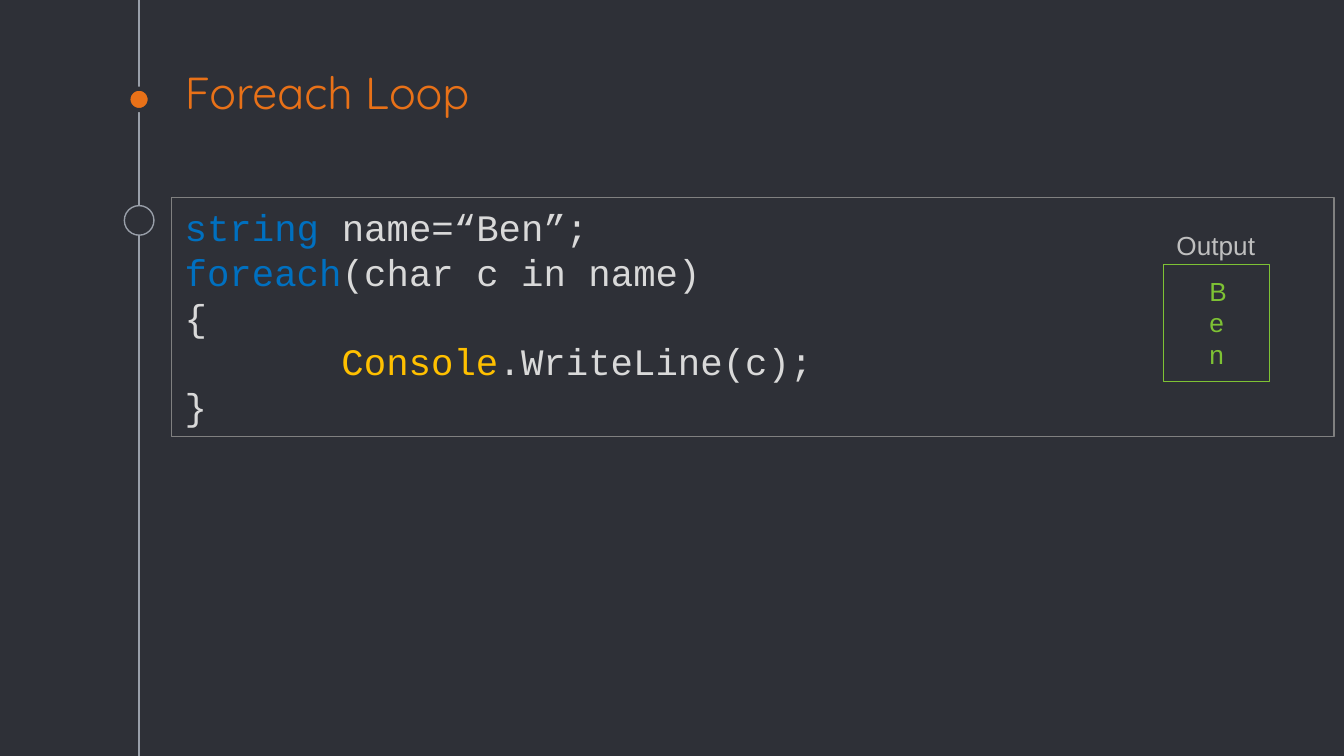
from dataclasses import dataclass

from lxml import etree
from pptx import Presentation
from pptx.dml.color import RGBColor
from pptx.enum.shapes import MSO_CONNECTOR, MSO_SHAPE
from pptx.enum.text import MSO_ANCHOR, MSO_AUTO_SIZE, PP_ALIGN
from pptx.oxml.ns import qn
from pptx.util import Inches, Pt

RECT, OVAL = MSO_SHAPE.RECTANGLE, MSO_SHAPE.OVAL
LINE = MSO_CONNECTOR.STRAIGHT
TOP, LOW = MSO_ANCHOR.TOP, MSO_ANCHOR.BOTTOM
FIXED = MSO_AUTO_SIZE.NONE
LEFT = PP_ALIGN.LEFT
WIDE, HIGH = Inches(10), Inches(5.625)
UNIT = WIDE / 100
RAIL = 10.35
EDGE, SPAN = 12.75, 86.5
SIDE, BREADTH = 86.55, 7.9
STOP = 10


@dataclass(frozen=True)
class Theme:
    back: str = "2E3037"
    rail: str = "999FA9"
    accent: str = "E87118"
    frame: str = "808080"
    key: str = "0070C0"
    plain: str = "D9D9D9"
    name: str = "FFC000"
    green: str = "7EC234"
    label: str = "BFBFBF"
    head: str = "Quicksand"
    code: str = "Courier New"
    body: str = "Arial"
    big: int = 24
    mid: int = 20
    small: int = 14
    thin: float = 0.75
    thick: float = 2.25


THEME = Theme()
CODE = [
    [("string ", THEME.key), ("name=“Ben”;", THEME.plain)],
    [("foreach", THEME.key), ("(char c in name)", THEME.plain)],
    [("{", THEME.plain)],
    [("\t ", THEME.plain), ("Console", THEME.name), (".WriteLine(c);", THEME.plain)],
    [("}", THEME.plain)],
]


def grid(*cells):
    return [round(cell * UNIT) for cell in cells]


def tint(hue):
    return RGBColor.from_string(hue)


def style(run, font, size, hue):
    run.font.name = font
    run.font.size = Pt(size)
    run.font.color.rgb = tint(hue)


def add_stop(para):
    stops = etree.SubElement(para._p.get_or_add_pPr(), qn("a:tabLst"))
    etree.SubElement(stops, qn("a:tab"), pos=str(grid(STOP)[0]), algn="l")


def write(frame, lines, font, size):
    frame.auto_size = FIXED
    frame.vertical_anchor = TOP
    for num, line in enumerate(lines):
        para = frame.add_paragraph() if num else frame.paragraphs[0]
        para.alignment = LEFT
        if line[0][0].startswith("\t"):
            add_stop(para)
        for text, hue in line:
            run = para.add_run()
            run.text = text
            style(run, font, size, hue)


def draw_shape(slide, kind, area, edge, width=THEME.thin, fill=None):
    shape = slide.shapes.add_shape(kind, *grid(*area))
    shape.shadow.inherit = False
    if fill:
        shape.fill.solid()
        shape.fill.fore_color.rgb = tint(fill)
    else:
        shape.fill.background()
    shape.line.color.rgb = tint(edge)
    shape.line.width = Pt(width)
    return shape


def draw_rail(slide):
    left = grid(RAIL)[0]
    rail = slide.shapes.add_connector(LINE, left, 0, left, HIGH)
    rail.line.color.rgb = tint(THEME.rail)
    rail.line.width = Pt(THEME.thin)
    etree.SubElement(rail._element.spPr, qn("a:effectLst"))


def draw_dot(slide, mid, size, edge, width, fill):
    area = RAIL - size / 2, mid - size / 2, size, size
    draw_shape(slide, OVAL, area, edge, width, fill)


def set_title(slide, text):
    title = slide.shapes.title
    title.left, title.top, title.width, title.height = grid(EDGE, 6, SPAN, 3.8)
    frame = title.text_frame
    frame.text = text
    frame.auto_size = FIXED
    frame.vertical_anchor = LOW
    frame.margin_left = frame.margin_right = Inches(0.1)
    frame.margin_top = frame.margin_bottom = Inches(0.1)
    para = frame.paragraphs[0]
    para.alignment = LEFT
    style(para.runs[0], THEME.head, THEME.big, THEME.accent)


def add_note(slide, area, words, hue):
    box = slide.shapes.add_textbox(*grid(*area))
    box.text_frame.word_wrap = False
    write(box.text_frame, [[(word, hue)] for word in words], THEME.body, THEME.small)


def main():
    deck = Presentation()
    deck.slide_width, deck.slide_height = WIDE, HIGH
    slide = deck.slides.add_slide(deck.slide_layouts[5])
    slide.background.fill.solid()
    slide.background.fill.fore_color.rgb = tint(THEME.back)

    draw_rail(slide)
    draw_dot(slide, 7.4, 1.6, THEME.back, THEME.thick, THEME.accent)
    draw_dot(slide, 16.4, 2.2, THEME.rail, THEME.thin, THEME.back)
    set_title(slide, "Foreach Loop")

    panel = draw_shape(slide, RECT, (EDGE, 14.7, SPAN, 17.8), THEME.frame)
    write(panel.text_frame, CODE, THEME.code, THEME.mid)

    draw_shape(slide, RECT, (SIDE, 19.7, BREADTH, 8.7), THEME.green)
    add_note(slide, (89, 20, 3.3, 8.1), "Ben", THEME.green)
    add_note(slide, (SIDE, 16.6, BREADTH, 3.4), ["Output"], THEME.label)
    deck.save("out.pptx")


if __name__ == "__main__":
    main()
